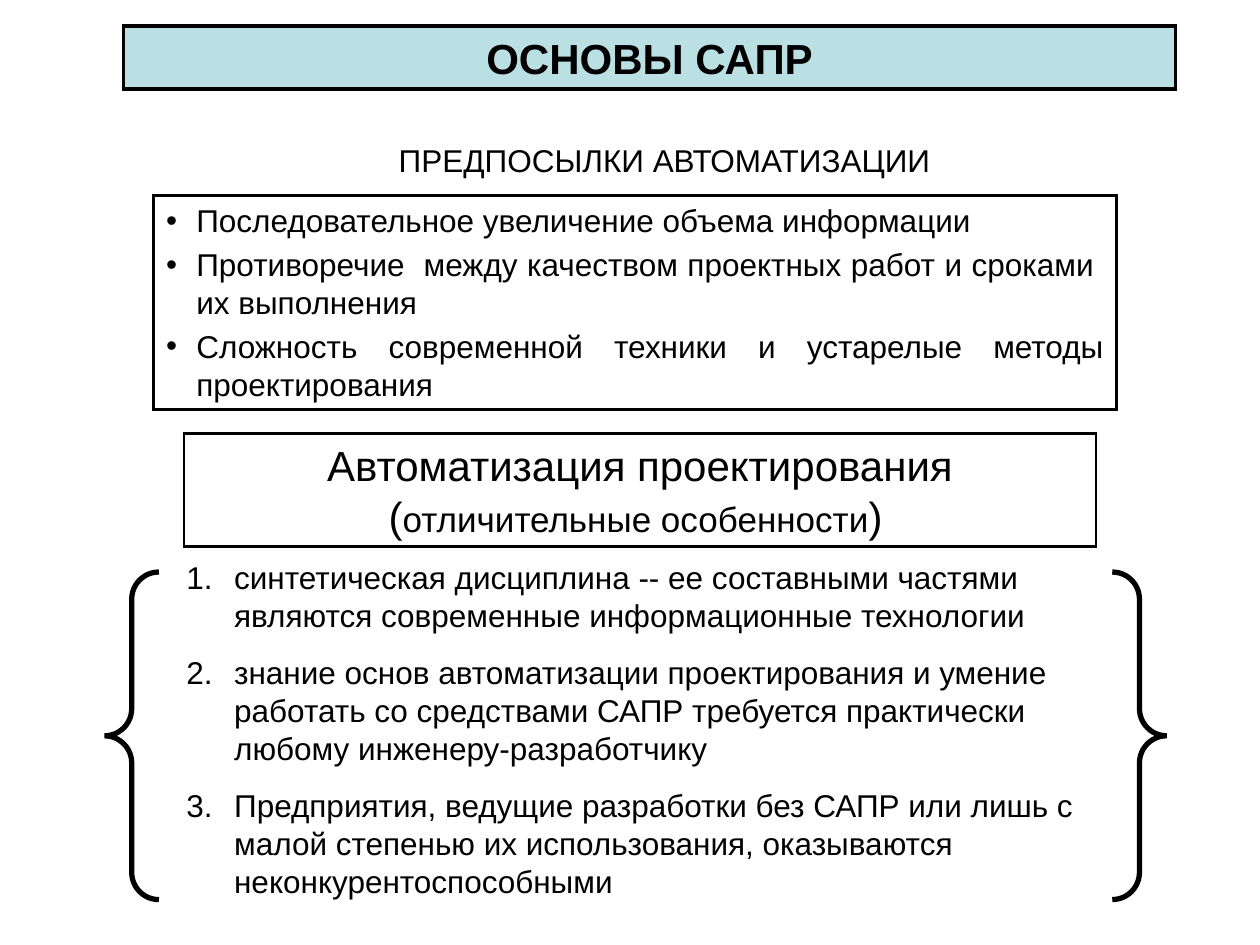
import pptx
import pptx.dml.color
import pptx.enum.shapes
import pptx.enum.text
import pptx.oxml.ns
import pptx.util
from lxml import etree

Inches = pptx.util.Inches
Pt = pptx.util.Pt
qn = pptx.oxml.ns.qn
SHAPE = pptx.enum.shapes.MSO_SHAPE
ALIGN = pptx.enum.text.PP_ALIGN

BLACK = "000000"
PALE_TEAL = "BBE0E3"


def color(value):
    return pptx.dml.color.RGBColor.from_string(value)


class SlideBuilder:
    font = "Arial"

    def __init__(self, slide):
        self.slide = slide

    def outline(self, preset, place, width, fill=None):
        shape = self.slide.shapes.add_shape(preset, *map(Inches, place))
        shape.shadow.inherit = False
        if fill:
            shape.fill.solid()
            shape.fill.fore_color.rgb = color(fill)
        else:
            shape.fill.background()
        shape.line.color.rgb = color(BLACK)
        shape.line.width = Pt(width)
        line = shape._element.spPr.find(qn("a:ln"))
        etree.SubElement(line, qn("a:miter"), lim="800000")
        return shape

    def box(self, place, width, fill=None):
        return self.prepare(self.outline(SHAPE.RECTANGLE, place, width, fill))

    def text_box(self, place):
        return self.prepare(self.slide.shapes.add_textbox(*map(Inches, place)))

    def prepare(self, shape):
        frame = shape.text_frame
        frame.word_wrap = True
        frame.vertical_anchor = pptx.enum.text.MSO_ANCHOR.TOP
        return frame

    def set_lines(self, frame, lines, align, size=18, before=0, bold=False):
        frame.text = "\n".join(lines)
        for para in frame.paragraphs:
            para.alignment = align
            para.space_before = Pt(before)
            for span in para.runs:
                self.style(span, size, bold)

    def style(self, span, size, bold=False):
        span.font.name = self.font
        span.font.size = Pt(size)
        span.font.bold = bold
        span.font.color.rgb = color(BLACK)

    def bullets(self, frame, indent, tag, **mark):
        for para in frame.paragraphs:
            properties = para._p.get_or_add_pPr()
            properties.set("marL", str(Inches(indent)))
            properties.set("indent", str(-Inches(indent)))
            tint = etree.SubElement(properties, qn("a:buClr"))
            etree.SubElement(tint, qn("a:srgbClr"), val=BLACK)
            etree.SubElement(properties, qn("a:buFont"), typeface=self.font)
            etree.SubElement(properties, qn(tag), **mark)


def main():
    deck = pptx.Presentation()
    deck.slide_width, deck.slide_height = Inches(10), Inches(7.5)
    page = SlideBuilder(deck.slides.add_slide(deck.slide_layouts[6]))

    # Title and section heading
    title = page.box((0.98, 0.21, 8.35, 0.5), 2.25, PALE_TEAL)
    page.set_lines(title, ["ОСНОВЫ САПР"], ALIGN.CENTER, 24, 15, bold=True)
    heading = page.text_box((1.06, 1.07, 8.43, 0.4))
    page.set_lines(heading, ["ПРЕДПОСЫЛКИ АВТОМАТИЗАЦИИ"], ALIGN.CENTER, before=11.2)

    # Prerequisites
    reasons = page.box((1.22, 1.55, 7.64, 1.7), 1.5)
    page.set_lines(reasons, [
        "Последовательное увеличение объема информации",
        "Противоречие  между качеством проектных работ и сроками  их выполнения",
        "Сложность современной техники и устарелые методы проектирования",
    ], ALIGN.JUSTIFY, before=3.4)
    reasons.paragraphs[0].alignment = ALIGN.LEFT
    page.bullets(reasons, 0.24, "a:buChar", char="•")

    # Design automation, with a smaller phrase in brackets
    topic = page.box((1.46, 3.44, 7.24, 0.9), 1.5)
    page.set_lines(topic, ["Автоматизация проектирования", "("], ALIGN.CENTER, 24)
    for text, size in (("отличительные особенности", 20), (")", 24), (" ", 18)):
        span = topic.paragraphs[1].add_run()
        span.text = text
        page.style(span, size)

    # Distinctive features between braces
    braces = page.outline(SHAPE.DOUBLE_BRACE, (0.83, 4.54, 8.43, 2.6), 3)
    braces.adjustments[0] = 0.083
    features = page.text_box((1.38, 4.38, 7.32, 2.82))
    page.set_lines(features, [
        "синтетическая дисциплина -- ее составными частями являются "
        "современные информационные технологии",
        "знание основ автоматизации проектирования и умение работать со "
        "средствами САПР требуется практически любому инженеру-разработчику",
        "Предприятия, ведущие разработки без САПР или лишь с малой степенью "
        "их использования, оказываются неконкурентоспособными",
    ], ALIGN.LEFT, before=11.2)
    page.bullets(features, 0.38, "a:buAutoNum", type="arabicPeriod")

    deck.save("out.pptx")


if __name__ == "__main__":
    main()
